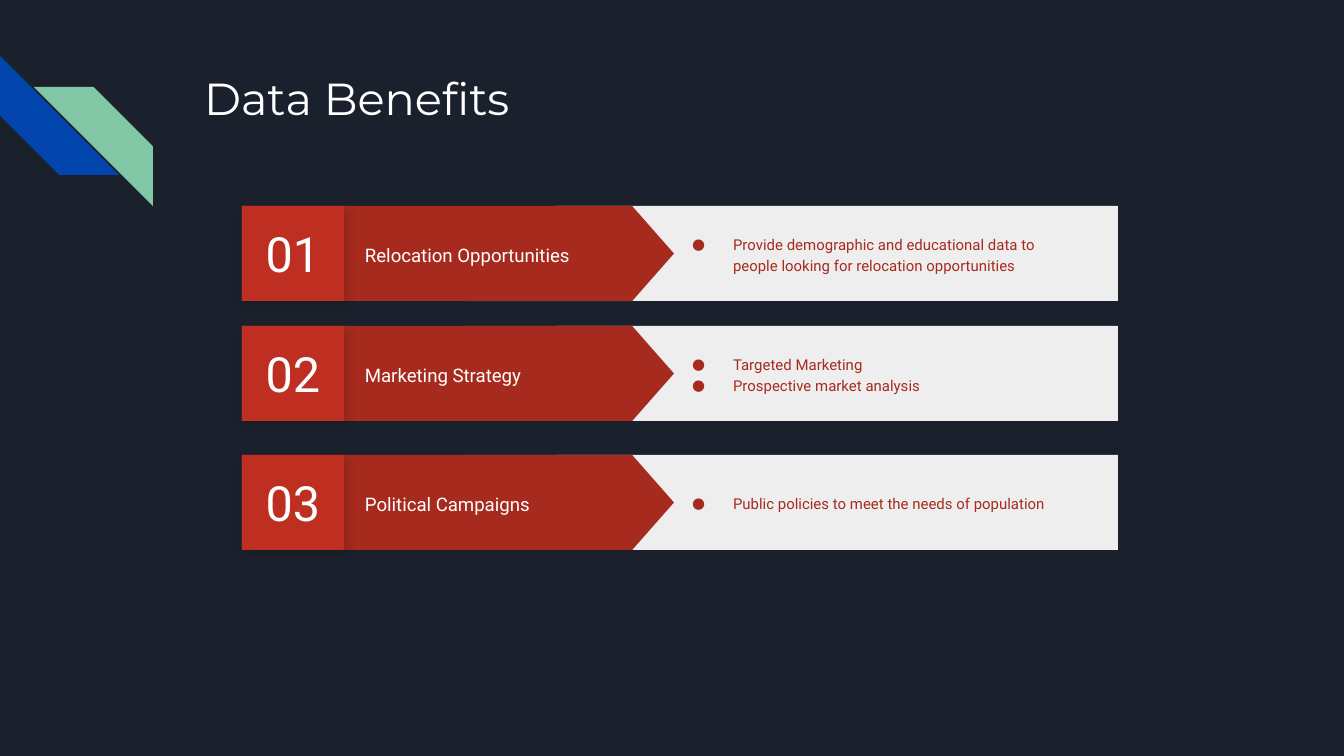
from lxml import etree
from pptx import Presentation
from pptx.dml.color import RGBColor
from pptx.enum.shapes import MSO_SHAPE
from pptx.enum.text import MSO_ANCHOR, PP_ALIGN
from pptx.oxml import parse_xml
from pptx.oxml.ns import nsdecls, qn
from pptx.util import Pt

RECTANGLE = MSO_SHAPE.RECTANGLE
STRIPE = MSO_SHAPE.DIAGONAL_STRIPE
POINTER = MSO_SHAPE.FLOWCHART_OFFPAGE_CONNECTOR
TOP, MIDDLE = MSO_ANCHOR.TOP, MSO_ANCHOR.MIDDLE
LEFT, CENTER = PP_ALIGN.LEFT, PP_ALIGN.CENTER

NAVY = RGBColor(0x1B, 0x21, 0x2C)
BLUE = RGBColor(0x01, 0x45, 0xAC)
GREEN = RGBColor(0x82, 0xC7, 0xA5)
WHITE = RGBColor(0xFF, 0xFF, 0xFF)
GREY = RGBColor(0xEE, 0xEE, 0xEE)
DARK_RED = RGBColor(0xA7, 0x2A, 0x1E)
SHADE_RED = RGBColor(0xB0, 0x2C, 0x20)
RED = RGBColor(0xBE, 0x2F, 0x22)

PX = 914400 / 134.4
ROW_HEIGHT = 95
POINTER_LENGTH = 209
INSET = 13

SHADOW = f"""<a:effectLst {nsdecls("a")}>
  <a:outerShdw blurRad="71120" dist="27940" dir="2700000" algn="bl" rotWithShape="0">
    <a:srgbClr val="000000"><a:alpha val="17000"/></a:srgbClr>
  </a:outerShdw>
</a:effectLst>"""


def add_block(shapes, kind, left, top, width, height, color):
    block = shapes.add_shape(kind, *(round(n * PX) for n in (left, top, width, height)))
    block.shadow.inherit = False
    block.fill.solid()
    block.fill.fore_color.rgb = color
    block.line.fill.background()
    return block


def write(box, lines, font, size, color, anchor=MIDDLE, align=LEFT, spacing=1.0):
    frame = box.text_frame
    frame_format = {"word_wrap": True, "vertical_anchor": anchor}
    for side in ("left", "right", "top", "bottom"):
        frame_format[f"margin_{side}"] = round(INSET * PX)
    for name, value in frame_format.items():
        setattr(frame, name, value)
    frame.text = "\n".join(lines)
    for para in frame.paragraphs:
        para.alignment = align
        para.line_spacing = spacing
        span = para.runs[0]
        for name, value in {"name": font, "size": Pt(size), "bold": False}.items():
            setattr(span.font, name, value)
        span.font.color.rgb = color


deck = Presentation()
deck.slide_width, deck.slide_height = round(1344 * PX), round(756 * PX)
page = deck.slides.add_slide(deck.slide_layouts[5])
page.background.fill.solid()
page.background.fill.fore_color.rgb = NAVY

# Corner stripes
blue_stripe = add_block(page.shapes, STRIPE, 0, 56, 119, 119, BLUE)
blue_stripe.rotation = 270
green_stripe = add_block(page.shapes, STRIPE, 34, 87, 119, 119, GREEN)
green_stripe._element.spPr.xfrm.set("flipH", "1")

# Title
title = page.shapes.title
title_place = {"left": 191, "top": 58, "width": 1035, "height": 134}
for name, value in title_place.items():
    setattr(title, name, round(value * PX))
write(title, ["Data Benefits"], "Montserrat", 24, WHITE, anchor=TOP)

# Benefit rows: top, heading, bullet points
rows = [
    (206, "Relocation Opportunities",
     ["Provide demographic and educational data to people looking for relocation opportunities"]),
    (326, "Marketing Strategy", ["Targeted Marketing", "Prospective market analysis"]),
    (455, "Political Campaigns", ["Public policies to meet the needs of population"]),
]
for number, (top, heading, points) in enumerate(rows, start=1):
    row = page.shapes.add_group_shape().shapes

    # Panel and red band with its point, which is turned to face right
    add_block(row, RECTANGLE, 556, top, 562, ROW_HEIGHT, GREY)
    add_block(row, RECTANGLE, 344, top, 272, ROW_HEIGHT, DARK_RED)
    turn = (POINTER_LENGTH - ROW_HEIGHT) / 2
    pointer = add_block(row, POINTER, 465 + turn, top - turn,
                        ROW_HEIGHT, POINTER_LENGTH, DARK_RED)
    pointer.rotation = 270

    # Heading
    heading_box = row.add_textbox(*(round(n * PX) for n in (352, top + 11, 285, 73)))
    write(heading_box, [heading], "Roboto", 10, WHITE, spacing=1.15)

    # Number tile over its shadow
    shade = add_block(row, RECTANGLE, 242, top, 102, ROW_HEIGHT, SHADE_RED)
    properties = shade._element.spPr
    properties.replace(properties.find(qn("a:effectLst")), parse_xml(SHADOW))
    tile = add_block(row, RECTANGLE, 242, top, 102, ROW_HEIGHT, RED)
    write(tile, [f"{number:02}"], "Roboto", 26, WHITE, align=CENTER)

    # Bullet points
    points_box = row.add_textbox(*(round(n * PX) for n in (653, top, 437, ROW_HEIGHT)))
    write(points_box, points, "Roboto", 8, DARK_RED, spacing=1.15)
    for para in points_box.text_frame.paragraphs:
        settings = para._p.get_or_add_pPr()
        settings.set("marL", str(round(67 * PX)))
        settings.set("indent", str(round(-41 * PX)))
        bullet_color = etree.SubElement(settings, qn("a:buClr"))
        etree.SubElement(bullet_color, qn("a:srgbClr"), val=str(DARK_RED))
        etree.SubElement(settings, qn("a:buFont"), typeface="Roboto")
        etree.SubElement(settings, qn("a:buChar"), char="●")

deck.save("out.pptx")
